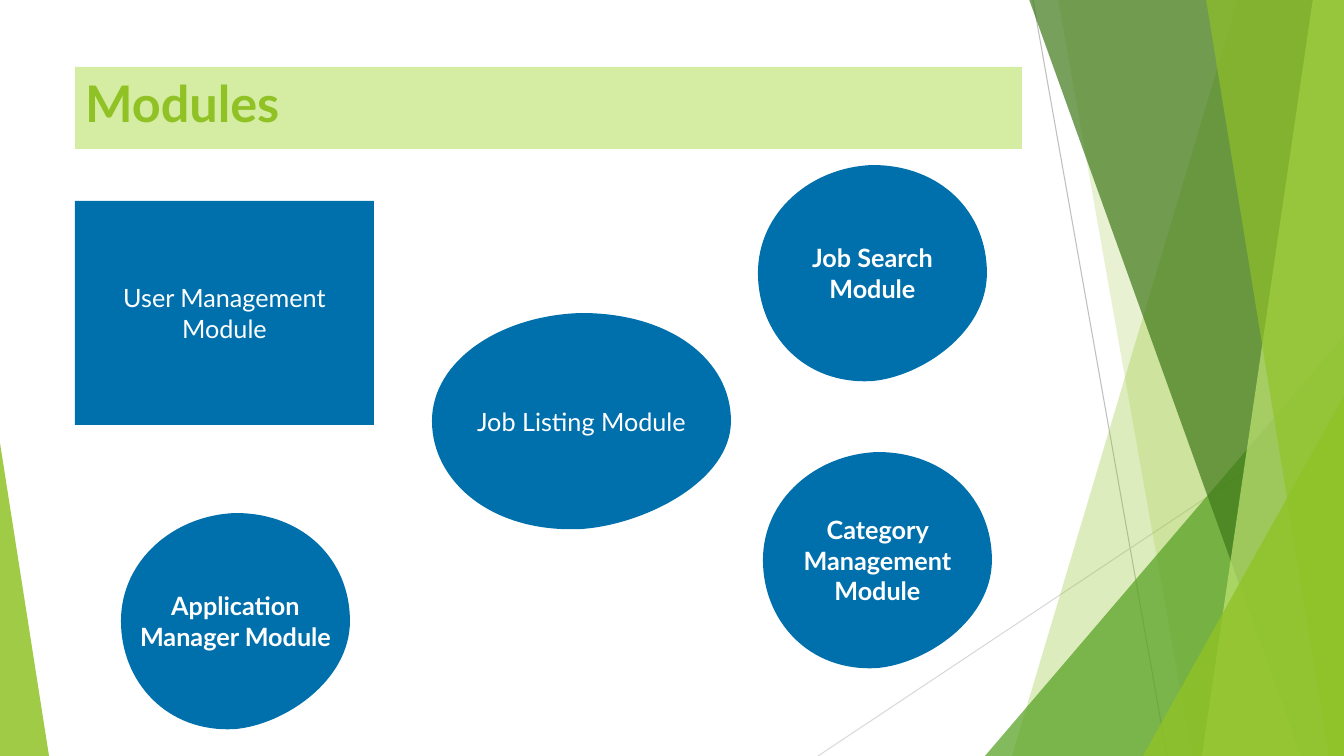
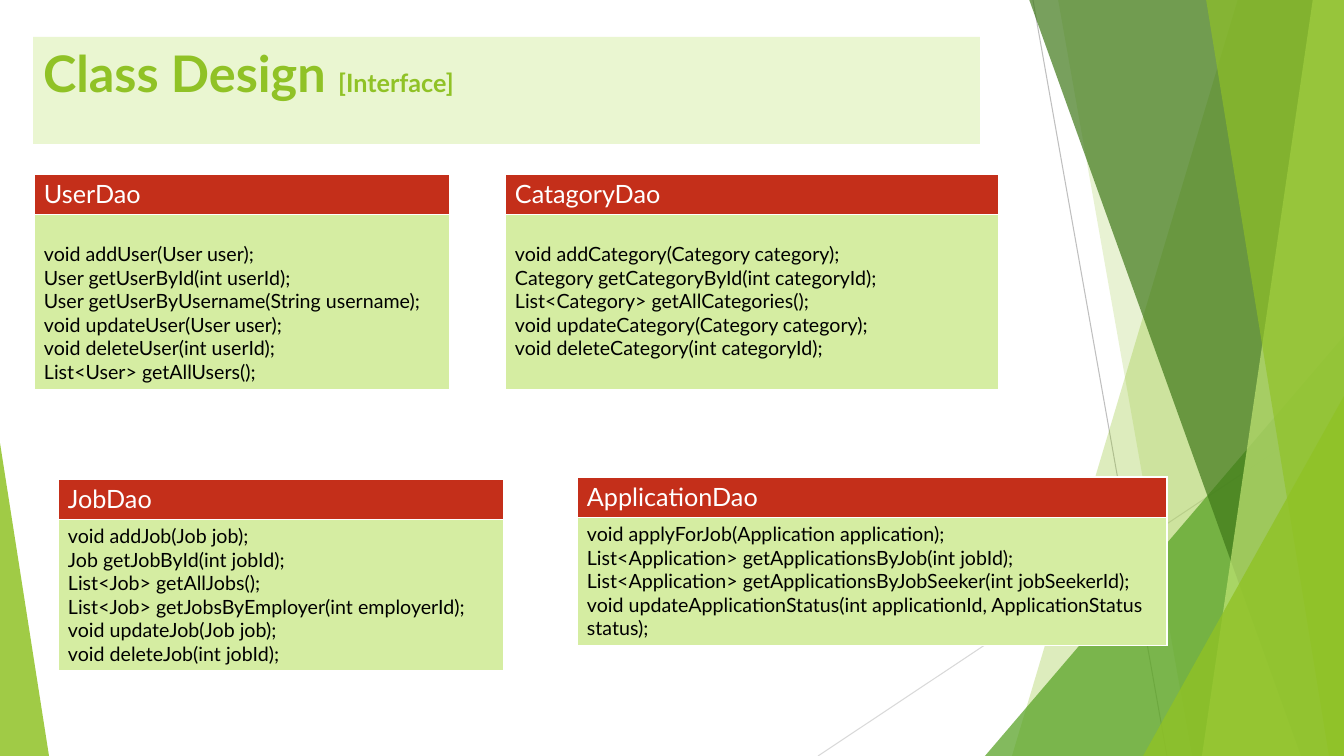
from lxml import etree
from pptx import Presentation
from pptx.dml.color import RGBColor
from pptx.enum.shapes import MSO_CONNECTOR, MSO_SHAPE
from pptx.enum.text import MSO_ANCHOR, PP_ALIGN
from pptx.oxml.ns import qn
from pptx.util import Emu, Pt

RECT = MSO_SHAPE.RECTANGLE
TRIANGLE = MSO_SHAPE.ISOSCELES_TRIANGLE
STRAIGHT = MSO_CONNECTOR.STRAIGHT
TOP, MIDDLE = MSO_ANCHOR.TOP, MSO_ANCHOR.MIDDLE
LEFT, CENTER = PP_ALIGN.LEFT, PP_ALIGN.CENTER

WIDTH, HEIGHT = 1344, 756
PX_PER_INCH = 100.8
FONT = "Lato"
WHITE, BLACK = "FFFFFF", "000000"
GREEN, LEAF, FOREST, LIME = "90C226", "54A021", "3F7819", "C0E474"
PALE, PALER = "D5EDA2", "EAF6D1"
BLUE, RED = "0070AD", "C42F1A"

# Facets reach the right edge: (x at top, x at bottom, colour, opacity %)
BACK_FACETS = [(1238, 1012, GREEN, 30), (1058, 1192, GREEN, 20)]
FRONT_FACETS = [(1029, 1301, FOREST, 70), (1313, 1202, LIME, 70),
                (1206, 1329, GREEN, 65)]

# Blob outline as fractions of its box: start, then cubic curves
BLOB_START = (0, 0.5)
BLOB_CURVES = [
    ((0, 0.22), (0.23, 0.01), (0.5, 0)),
    ((0.8, 0), (1, 0.22), (1, 0.5)),
    ((1, 0.78), (0.71, 0.98), (0.5, 1)),
    ((0.2, 1.02), (0, 0.78), (0, 0.5)),
]


def px(n):
    return Emu(round(n * 914400 / PX_PER_INCH))


def rgb(hex_string):
    return RGBColor.from_string(hex_string)


def paint(sp, color, opacity=100):
    sp.shadow.inherit = False
    sp.line.fill.background()
    sp.fill.solid()
    sp.fill.fore_color.rgb = rgb(color)
    if opacity < 100:
        clr = sp.fill._xPr.find(qn("a:solidFill"))[0]
        etree.SubElement(clr, qn("a:alpha"), val=str(opacity * 1000))


def add_run(p, text, size, color, bold=False):
    r = p.add_run()
    r.text = text
    r.font.name = FONT
    r.font.size = Pt(size)
    r.font.bold = bold
    r.font.color.rgb = rgb(color)


def set_frame(sp, anchor, align, inset=10):
    tf = sp.text_frame
    tf.word_wrap = True
    tf.vertical_anchor = anchor
    tf.margin_left = tf.margin_right = px(inset)
    tf.margin_top = tf.margin_bottom = px(5)
    p = tf.paragraphs[0]
    p.alignment = align
    return p


def add_polygon(slide, points, color, opacity=100):
    points = [(px(x), px(y)) for x, y in points]
    fb = slide.shapes.build_freeform(*points[0], scale=1.0)
    fb.add_line_segments(points[1:], close=True)
    sp = fb.convert_to_shape()
    paint(sp, color, opacity)
    return sp


# Background shared by all slides, kept on their layout
def add_hairline(slide, start, end, color):
    cx = slide.shapes.add_connector(STRAIGHT, *map(px, start + end))
    cx.line.color.rgb = rgb(color)
    cx.line.width = Pt(0.75)
    etree.SubElement(cx._element.spPr, qn("a:effectLst"))


def add_triangle(slide, box, apex, color, opacity):
    sp = slide.shapes.add_shape(TRIANGLE, *map(px, box))
    sp.adjustments[0] = apex
    paint(sp, color, opacity)


def add_facets(slide, facets):
    for top, bottom, color, opacity in facets:
        outline = [(top, -1), (WIDTH, -1), (WIDTH, HEIGHT), (bottom, HEIGHT)]
        add_polygon(slide, outline, color, opacity)


def add_backdrop(slide):
    add_hairline(slide, (1033, 0), (1167, HEIGHT), "BFBFBF")
    add_hairline(slide, (WIDTH, 406), (818, HEIGHT), "D9D9D9")
    add_facets(slide, BACK_FACETS)
    add_triangle(slide, (985, 336, 359, 420), 1, LEAF, 72)
    add_facets(slide, FRONT_FACETS)
    add_triangle(slide, (1143, 396, 201, 360), 1, GREEN, 80)
    add_triangle(slide, (0, 443, 49, 313), 0, GREEN, 85)


def move_to_layout(slide):
    layout = slide.slide_layout
    for ph in list(layout.placeholders):
        ph._element.getparent().remove(ph._element)
    for sp in list(slide.shapes):
        layout.shapes._spTree.append(sp._element)


def add_title(slide, box, fill, runs):
    sp = slide.shapes.add_shape(RECT, *map(px, box))
    paint(sp, fill)
    p = set_frame(sp, TOP, LEFT)
    for text, size in runs:
        add_run(p, text, size, GREEN, True)


# Modules slide
def add_blob(slide, box, text, bold):
    x, y, w, h = box
    anchors = [BLOB_START] + [curve[-1] for curve in BLOB_CURVES]
    sp = add_polygon(slide, [(x + fx * w, y + fy * h) for fx, fy in anchors],
                     BLUE)
    # Turn the straight segments into curves
    outline = next(sp._element.iter(qn("a:path")))
    segments = outline.findall(qn("a:lnTo"))
    for segment, curve in zip(segments, BLOB_CURVES):
        bezier = etree.Element(qn("a:cubicBezTo"))
        for fx, fy in curve:
            etree.SubElement(bezier, qn("a:pt"),
                             x=str(px(fx * w)), y=str(px(fy * h)))
        outline.replace(segment, bezier)
    add_run(set_frame(sp, MIDDLE, CENTER, 15), text, 18, WHITE, bold)


def build_modules(slide):
    add_title(slide, (75, 67, 947, 82), PALE, [("Modules", 36)])
    sp = slide.shapes.add_shape(RECT, *map(px, (75, 201, 299, 224)))
    paint(sp, BLUE)
    p = set_frame(sp, MIDDLE, CENTER)
    p.space_before = Pt(10)
    add_run(p, "User Management Module", 18, WHITE)

    add_blob(slide, (432, 313, 299, 216), "Job Listing Module", False)
    for x, y, text in [(121, 513, "Application Manager Module"),
                       (758, 165, "Job Search Module"),
                       (763, 452, "Category Management Module")]:
        add_blob(slide, (x, y, 229, 216), text, True)


# Class design slide
def set_borders(cell):
    tcPr = cell._tc.get_or_add_tcPr()
    for side in "LRTB":
        ln = etree.SubElement(tcPr, qn("a:ln" + side), w=str(Pt(1)))
        fill = etree.SubElement(ln, qn("a:solidFill"))
        etree.SubElement(fill, qn("a:srgbClr"), val=WHITE)


def fill_cell(cell, lines, size, color, fill, top_inset=5):
    set_borders(cell)
    cell.fill.solid()
    cell.fill.fore_color.rgb = rgb(fill)
    cell.margin_left = cell.margin_right = px(10)
    cell.margin_top, cell.margin_bottom = px(top_inset), px(5)
    tf = cell.text_frame
    for i, line in enumerate(lines):
        p = tf.add_paragraph() if i else tf.paragraphs[0]
        add_run(p, line, size, color)


def add_interface(slide, box, name, methods, top_inset):
    header_h = 40
    tbl = slide.shapes.add_table(2, 1, *map(px, box)).table
    tbl.first_row = tbl.horz_banding = False
    tbl.rows[0].height = px(header_h)
    tbl.rows[1].height = px(box[3] - header_h)
    fill_cell(tbl.cell(0, 0), [name], 18, WHITE, RED)
    fill_cell(tbl.cell(1, 0), methods, 14, BLACK, PALE, top_inset)


def build_class_design(slide):
    add_title(slide, (33, 37, 947, 107), PALER,
              [("Class Design ", 36), ("[Interface]", 18)])
    add_interface(slide, (34, 174, 416, 215), "UserDao", [
        "void addUser(User user);",
        "User getUserById(int userId);",
        "User getUserByUsername(String username);",
        "void updateUser(User user);",
        "void deleteUser(int userId);",
        "List<User> getAllUsers();",
    ], 28)
    add_interface(slide, (58, 479, 446, 191), "JobDao", [
        "void addJob(Job job);",
        "Job getJobById(int jobId);",
        "List<Job> getAllJobs();",
        "List<Job> getJobsByEmployer(int employerId);",
        "void updateJob(Job job);",
        "void deleteJob(int jobId);",
    ], 5)
    add_interface(slide, (505, 174, 494, 215), "CatagoryDao", [
        "void addCategory(Category category);",
        "Category getCategoryById(int categoryId); "
        "List<Category> getAllCategories();",
        "void updateCategory(Category category);",
        "void deleteCategory(int categoryId);",
    ], 28)
    add_interface(slide, (577, 477, 590, 168), "ApplicationDao", [
        "void applyForJob(Application application);",
        "List<Application> getApplicationsByJob(int jobId);",
        "List<Application> getApplicationsByJobSeeker(int jobSeekerId);",
        "void updateApplicationStatus(int applicationId, "
        "ApplicationStatus status);",
    ], 5)


def main():
    prs = Presentation()
    prs.slide_width, prs.slide_height = px(WIDTH), px(HEIGHT)
    blank = prs.slide_layouts[6]
    modules = prs.slides.add_slide(blank)
    add_backdrop(modules)
    move_to_layout(modules)
    build_modules(modules)
    build_class_design(prs.slides.add_slide(blank))
    prs.save("out.pptx")


if __name__ == "__main__":
    main()
